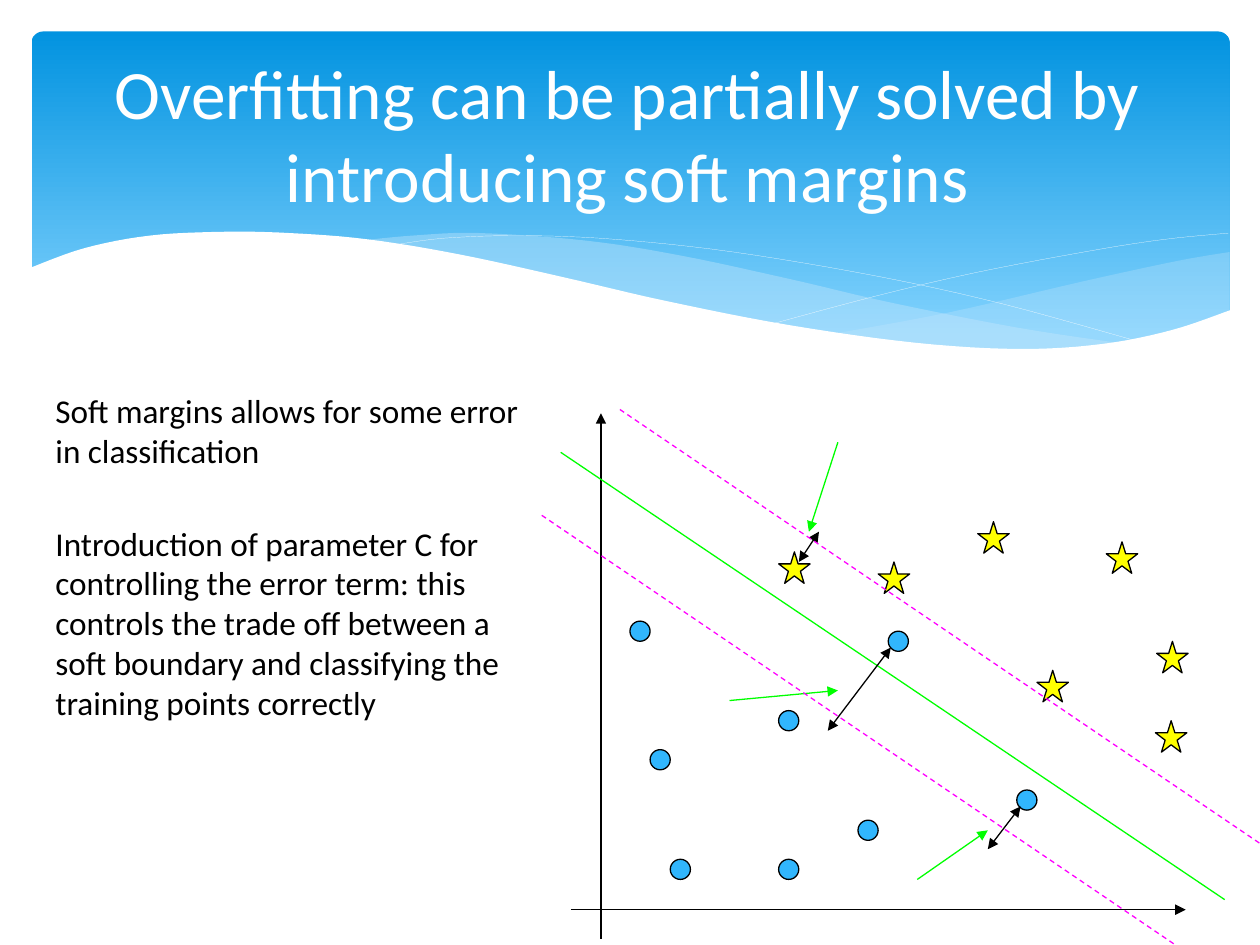
from lxml import etree
from pptx import Presentation
from pptx.dml.color import RGBColor
from pptx.enum.dml import MSO_LINE
from pptx.enum.shapes import MSO_CONNECTOR, MSO_SHAPE
from pptx.enum.text import MSO_ANCHOR, MSO_AUTO_SIZE, PP_ALIGN
from pptx.oxml.ns import qn
from pptx.util import Cm, Pt

DASH = MSO_LINE.DASH
STRAIGHT = MSO_CONNECTOR.STRAIGHT
ROUND_RECT = MSO_SHAPE.ROUNDED_RECTANGLE
DOT, STAR = MSO_SHAPE.FLOWCHART_CONNECTOR, MSO_SHAPE.STAR_5_POINT
MIDDLE, NO_FIT = MSO_ANCHOR.MIDDLE, MSO_AUTO_SIZE.NONE
CENTER, LEFT = PP_ALIGN.CENTER, PP_ALIGN.LEFT

THEME = {
    "font": "Calibri", "title_size": 39.6, "body_size": 19, "paragraph_gap": 30,
    "line": 0.75, "hairline": 0.1,
    "black": "000000", "white": "FFFFFF", "sky_top": "0293E0",
    "sky_bottom": "83D3FE", "wave": "C6E7FC", "dot": "31B6FD",
    "star": "FFFF00", "green": "00FF00", "magenta": "FF00FF",
}

# All positions are in inches.
TITLE = "Overfitting can be partially solved by introducing soft margins"
TITLE_BOX = (0.24, 0.37, 9.48, 1.37)
BODY = [
    "Soft margins allows for some error in classification",
    "Introduction of parameter C for controlling the error term: this controls "
    "the trade off between a soft boundary and classifying the training points correctly",
]
BODY_BOX = (0.34, 3.05, 4.03, 4.26)
BANNER_BOX = (0.25, 0.25, 9.51, 2.7)

# Each wave: opacity in percent and the smooth edges that bound it.
WAVES = [
    (29, [
        [(9.76, 2), (9.35, 2.07), (8.61, 2.23), (7.53, 2.48), (6.61, 2.65)],
        [(6.61, 2.65), (7.19, 2.72), (8.03, 2.78), (8.81, 2.73), (9.35, 2.62), (9.76, 2.47)],
    ]),
    (40, [
        [(8.93, 2.73), (8.07, 2.6), (7.06, 2.4), (6.29, 2.22), (5.41, 2.03),
         (4.65, 1.91), (3.8, 1.85), (3.28, 1.87), (2.86, 1.91)],
        [(2.86, 1.91), (3.62, 2.03), (4.49, 2.22), (5.66, 2.48), (6.65, 2.66),
         (7.48, 2.76), (8.18, 2.78), (8.93, 2.73)],
    ]),
]
WAVE_LINES = [
    [(3.09, 1.95), (3.53, 1.89), (4.16, 1.87), (4.89, 1.9), (5.82, 2),
     (6.95, 2.19), (7.95, 2.41), (9.07, 2.72)],
    [(6.13, 2.57), (6.95, 2.35), (7.76, 2.16), (8.66, 1.99), (9.24, 1.9), (9.75, 1.85)],
]
BANNER_CUTOUT = [
    [(9.77, 2.46), (9.3, 2.62), (8.75, 2.73), (8.09, 2.77), (7.26, 2.72),
     (6.26, 2.58), (5.29, 2.39), (4.47, 2.2), (3.65, 2.02), (2.92, 1.9),
     (2.3, 1.85), (1.77, 1.84), (1.19, 1.87), (0.67, 1.97), (0.23, 2.13)],
    [(0.23, 3.29), (9.77, 3.29)],
]

DOT_SIZE, STAR_SIZE = 0.16, 0.25
DOTS = [(5.16, 5.95), (6.18, 5.64), (5.32, 6.82), (7.05, 5.01),
        (6.18, 6.82), (5, 4.93), (8.07, 6.27), (6.81, 6.51)]
STARS = [(8.23, 5.32), (6.97, 4.46), (8.78, 4.3), (9.17, 5.72),
         (9.18, 5.09), (7.76, 4.14), (6.18, 4.38)]

AXES = [(4.53, 7.22, 9.41, 7.22), (4.77, 7.45, 4.77, 3.28)]
BOUNDARY = [(4.45, 3.59, 9.72, 7.14)]
ERRORS = [(6.57, 5.8, 7.07, 5.14), (6.34, 4.46, 6.5, 4.22), (7.84, 6.74, 8.1, 6.4)]
POINTERS = [(6.65, 3.51, 6.42, 4.22), (7.28, 6.98, 7.84, 6.59), (5.79, 5.56, 6.65, 5.48)]
MARGINS = [(4.92, 3.25, 10.51, 7.04), (4.3, 4.09, 9.89, 7.88)]


def inch(value):
    return Cm(value * 2.54)


def color(name):
    return RGBColor.from_string(THEME[name])


def fill_solid(sp, name, opacity=100):
    sp.fill.solid()
    sp.fill.fore_color.rgb = color(name)
    if opacity < 100:
        clr = sp.fill._xPr.find(qn("a:solidFill"))[0]
        etree.SubElement(clr, qn("a:alpha")).set("val", str(opacity * 1000))


def set_line(line, name, width="line"):
    line.color.rgb = color(name)
    line.width = Pt(THEME[width])


def smooth(points, steps=6):
    """Return a Catmull-Rom curve through the points."""
    padded = [points[0], *points, points[-1]]
    curve = [points[0]]
    for a, b, c, d in zip(padded, padded[1:], padded[2:], padded[3:]):
        for t in (i / steps for i in range(1, steps + 1)):
            curve.append(tuple(
                0.5 * (2 * q + (r - p) * t + (2 * p - 5 * q + 4 * r - s) * t ** 2
                       + (3 * q - p - 3 * r + s) * t ** 3)
                for p, q, r, s in zip(a, b, c, d)))
    return curve


def add_outline(slide, edges, close=True):
    points = [(inch(x), inch(y)) for edge in edges for x, y in smooth(edge)]
    builder = slide.shapes.build_freeform(*points[0])
    builder.add_line_segments(points[1:], close=close)
    sp = builder.convert_to_shape()
    sp.shadow.inherit = False
    return sp


def add_banner(slide):
    sp = slide.shapes.add_shape(ROUND_RECT, *map(inch, BANNER_BOX))
    sp.adjustments[0] = 0.034
    sp.shadow.inherit = False
    sp.line.fill.background()
    sp.fill.gradient()
    sp.fill.gradient_angle = 270
    stops = ((0, "sky_top"), (0.9, "sky_bottom"))
    for stop, (position, name) in zip(sp.fill.gradient_stops, stops):
        stop.position = position
        stop.color.rgb = color(name)

    for opacity, edges in WAVES:
        sp = add_outline(slide, edges)
        fill_solid(sp, "wave", opacity)
        sp.line.fill.background()
    for edge in WAVE_LINES:
        sp = add_outline(slide, [edge], close=False)
        sp.fill.background()
        set_line(sp.line, "white", "hairline")
    sp = add_outline(slide, BANNER_CUTOUT)
    fill_solid(sp, "white")
    sp.line.fill.background()


def fill_placeholder(slide, sp, box, paragraphs, size, name, align):
    sp.left, sp.top, sp.width, sp.height = map(inch, box)
    slide.shapes._spTree.append(sp._element)  # in front of the banner
    tf = sp.text_frame
    tf.text = "\n".join(paragraphs)
    tf.word_wrap = True
    tf.auto_size = NO_FIT
    for i, p in enumerate(tf.paragraphs):
        pPr = p._p.get_or_add_pPr()
        pPr.set("marL", "0")
        pPr.set("indent", "0")
        etree.SubElement(pPr, qn("a:buNone"))
        p.alignment = align
        p.space_before = Pt(THEME["paragraph_gap"] if i else 0)
        for r in p.runs:
            r.font.name = THEME["font"]
            r.font.size = Pt(THEME[size])
            r.font.color.rgb = color(name)


def add_markers(slide, kind, places, size, name):
    for x, y in places:
        sp = slide.shapes.add_shape(kind, *map(inch, (x, y, size, size)))
        sp.shadow.inherit = False
        fill_solid(sp, name)
        set_line(sp.line, "black")


def add_lines(slide, lines, name, arrows=(), dash=None):
    for ends in lines:
        cxn = slide.shapes.add_connector(STRAIGHT, *map(inch, ends))
        set_line(cxn.line, name)
        if dash:
            cxn.line.dash_style = dash
        ln = cxn.line._get_or_add_ln()
        for end in arrows:
            etree.SubElement(ln, qn(f"a:{end}")).set("type", "triangle")
        etree.SubElement(cxn._element.spPr, qn("a:effectLst"))


def main():
    prs = Presentation()
    prs.slide_width, prs.slide_height = inch(10), inch(7.5)
    slide = prs.slides.add_slide(prs.slide_layouts[1])
    title, body = slide.shapes.title, slide.placeholders[1]

    add_banner(slide)
    fill_placeholder(slide, body, BODY_BOX, BODY, "body_size", "black", LEFT)
    fill_placeholder(slide, title, TITLE_BOX, [TITLE], "title_size", "white", CENTER)
    title.text_frame.vertical_anchor = MIDDLE

    add_lines(slide, AXES, "black", ["tailEnd"])
    add_markers(slide, DOT, DOTS, DOT_SIZE, "dot")
    add_markers(slide, STAR, STARS, STAR_SIZE, "star")
    add_lines(slide, BOUNDARY, "green")
    add_lines(slide, ERRORS, "black", ["headEnd", "tailEnd"])
    add_lines(slide, POINTERS, "green", ["tailEnd"])
    add_lines(slide, MARGINS, "magenta", dash=DASH)
    prs.save("out.pptx")


if __name__ == "__main__":
    main()
